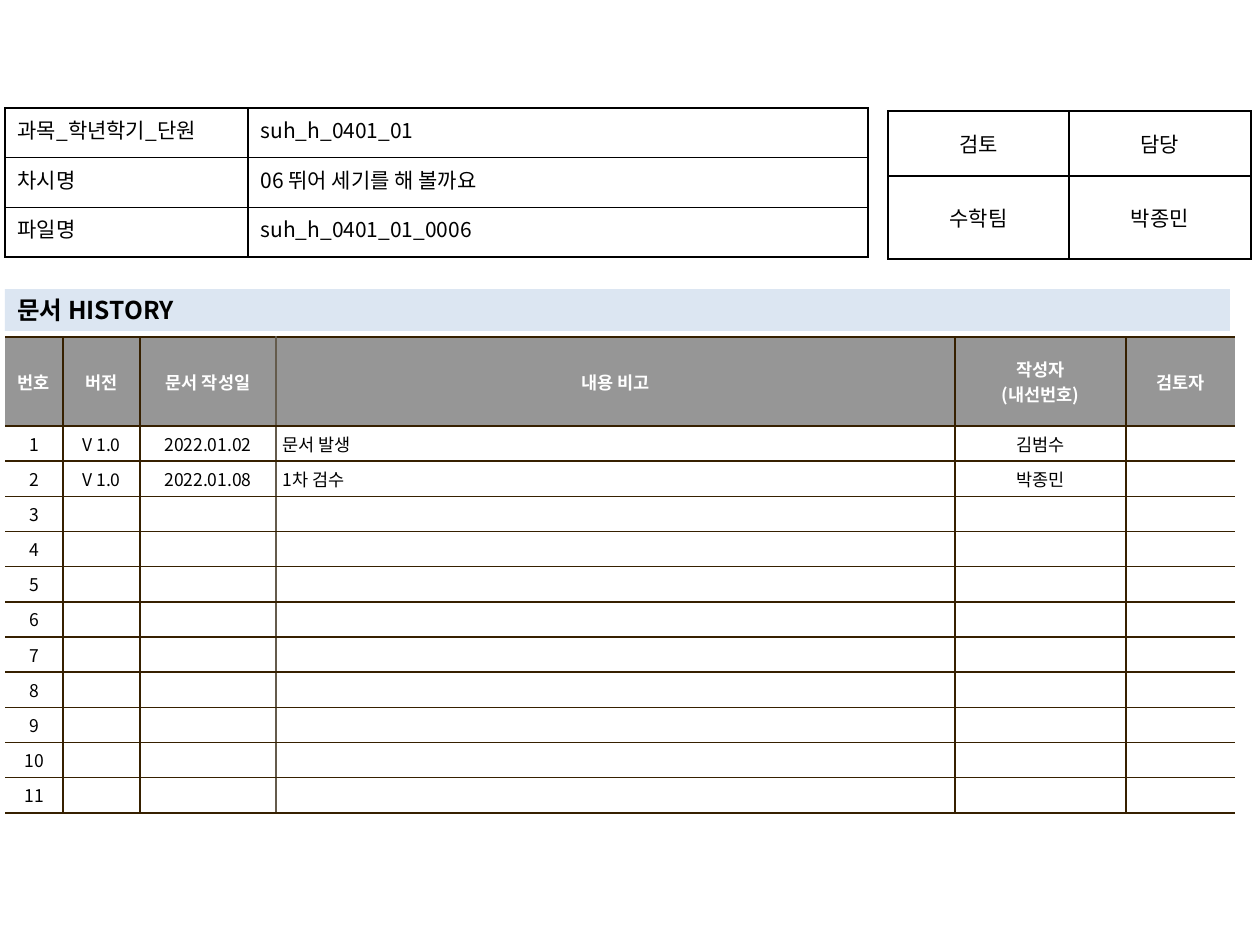
from dataclasses import dataclass
from lxml.etree import SubElement
from pptx import Presentation
from pptx.dml.color import RGBColor
from pptx.enum.shapes import MSO_SHAPE
from pptx.enum.text import MSO_ANCHOR, PP_ALIGN
from pptx.oxml import parse_xml
from pptx.oxml.ns import nsdecls, qn
from pptx.util import Emu, Pt


@dataclass(frozen=True)
class Theme:
    font: str = "Noto Sans CJK KR"
    ink: str = "000000"
    white: str = "FFFFFF"
    bar: str = "DCE6F2"
    header: str = "969696"
    rule: str = "362000"
    soft_rule: str = "645B4C"
    small: int = 10
    body: int = 12
    title: int = 14


T = Theme()
CENTER, LEFT, JUSTIFY = PP_ALIGN.CENTER, PP_ALIGN.LEFT, PP_ALIGN.JUSTIFY


def px(n):
    return Emu(round(n * 914400 / 126))


def set_attrs(obj, values):
    for name, value in values.items():
        setattr(obj, name, value)


def write(tf, text, size, color=T.ink, bold=False, align=LEFT):
    tf.text = text
    for p in tf.paragraphs:
        p.alignment = align
        for r in p.runs:
            set_attrs(r.font, {"name": T.font, "size": Pt(size), "bold": bold})
            r.font.color.rgb = RGBColor.from_string(color)
            SubElement(r.font._element, qn("a:ea"), typeface=T.font)
        if not p.runs:
            SubElement(p._p, qn("a:endParaRPr"), sz=str(size * 100))


def set_borders(cell, colors):
    """Draw left, right, top and bottom borders; None leaves a side open."""
    tcPr = cell._tc.get_or_add_tcPr()
    for i, (side, color) in enumerate(zip("LRTB", colors)):
        fill = (f'<a:solidFill><a:srgbClr val="{color}"/></a:solidFill>'
                if color else "<a:noFill/>")
        tcPr.insert(i, parse_xml(
            f'<a:ln{side} {nsdecls("a")} w="12700">{fill}</a:ln{side}>'))


def add_grid(s, box, cols, rows):
    """Add an unstyled table whose column and row sizes are in px."""
    table = s.shapes.add_table(len(rows), len(cols), *map(px, box)).table
    set_attrs(table, {"first_row": False, "horz_banding": False})
    for col, width in zip(table.columns, cols):
        col.width = px(width)
    for row, height in zip(table.rows, rows):
        row.height = px(height)
    return table


def add_info_table(s, box, cols, rows, data, aligns, anchor):
    table = add_grid(s, box, cols, rows)
    for i, texts in enumerate(data):
        for j, text in enumerate(texts):
            cell = table.cell(i, j)
            cell.vertical_anchor = anchor
            cell.fill.background()
            write(cell.text_frame, text, T.body, align=aligns[j])
            set_borders(cell, [T.ink] * 4)


def add_title_bar(s, box, text):
    sp = s.shapes.add_shape(MSO_SHAPE.RECTANGLE, *map(px, box))
    sp.shadow.inherit = False
    sp.fill.solid()
    sp.fill.fore_color.rgb = RGBColor.from_string(T.bar)
    sp.line.fill.background()
    sp.text_frame.vertical_anchor = MSO_ANCHOR.MIDDLE
    write(sp.text_frame, text, T.title, bold=True)


def add_history_table(s, box, headers, entries, row_count):
    cols = [58, 77, 136, 679, 171, 109]
    header_height = 89
    row_height = (box[3] - header_height) / row_count
    table = add_grid(s, box, cols, [header_height] + [row_height] * row_count)
    verticals = [None, T.rule, T.rule, T.soft_rule, T.rule, T.rule, None]
    note_col = 3
    margins = {"margin_left": px(7), "margin_right": px(7),
               "margin_top": px(5), "margin_bottom": px(5)}
    blank = [""] * (len(cols) - 1)
    body = [[str(n + 1)] + (entries[n] if n < len(entries) else blank)
            for n in range(row_count)]
    for i, texts in enumerate([headers] + body):
        head = i == 0
        for j, text in enumerate(texts):
            cell = table.cell(i, j)
            set_attrs(cell, {"vertical_anchor": MSO_ANCHOR.MIDDLE, **margins})
            cell.fill.solid()
            cell.fill.fore_color.rgb = RGBColor.from_string(
                T.header if head else T.white)
            write(cell.text_frame, text, T.small, T.white if head else T.ink,
                  head, LEFT if j == note_col and not head else CENTER)
            set_borders(cell, [verticals[j], verticals[j + 1], T.rule, T.rule])


def main():
    prs = Presentation()
    set_attrs(prs, {"slide_width": px(1260), "slide_height": px(945)})
    s = prs.slides.add_slide(prs.slide_layouts[6])
    add_history_table(
        s, (5, 337, 1230, 476),
        ["번호", "버전", "문서 작성일", "내용 비고", "작성자\n(내선번호)", "검토자"],
        [["V 1.0", "2022.01.02", "문서 발생", "김범수", ""],
         ["V 1.0", "2022.01.08", "1차 검수", "박종민", ""]], 11)
    add_info_table(s, (888, 111, 363, 148), [181, 182], [65, 83],
                   [["검토", "담당"], ["수학팀", "박종민"]],
                   [CENTER, CENTER], MSO_ANCHOR.MIDDLE)
    add_title_bar(s, (5, 289, 1225, 42), "문서 HISTORY")
    add_info_table(s, (5, 108, 863, 149), [243, 620], [149 / 3] * 3,
                   [["과목_학년학기_단원", "suh_h_0401_01"],
                    ["차시명", "06 뛰어 세기를 해 볼까요"],
                    ["파일명", "suh_h_0401_01_0006"]],
                   [JUSTIFY, LEFT], MSO_ANCHOR.TOP)
    prs.save("out.pptx")


if __name__ == "__main__":
    main()
